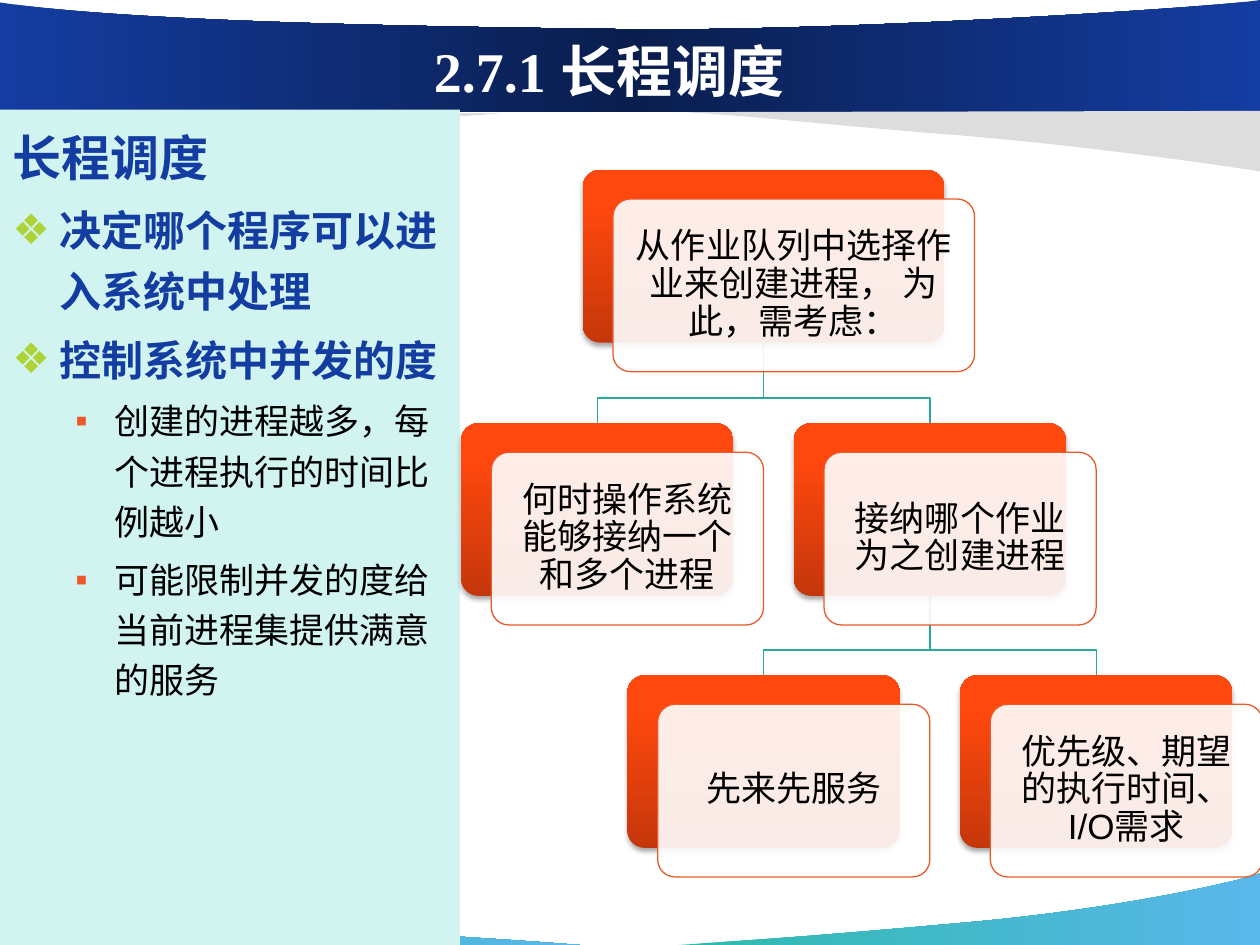
from pptx import Presentation
from pptx.dml.color import RGBColor
from pptx.enum.shapes import MSO_SHAPE as Shape
from pptx.enum.text import MSO_ANCHOR as Anchor, PP_ALIGN as Align
from pptx.oxml import parse_xml
from pptx.oxml.ns import nsdecls, qn
from pptx.util import Inches, Pt

WHITE = RGBColor(0xFF, 0xFF, 0xFF)
BLACK = RGBColor(0, 0, 0)
NAVY = RGBColor(0x14, 0x3D, 0xA2)
DEEP = RGBColor(0x0A, 0x1E, 0x4E)
TEAL = RGBColor(0x2E, 0xBA, 0xAD)
SKY = RGBColor(0x5A, 0xB7, 0xEA)
GRAY = RGBColor(0xDD, 0xDD, 0xDD)
MINT = RGBColor(0xD2, 0xF4, 0xF1)
LIME = RGBColor(0xAE, 0xD3, 0x37)
RUST = RGBColor(0xC5, 0x37, 0x0B)
FLAME = RGBColor(0xFF, 0x48, 0x0E)
GLOW = RGBColor(0xFF, 0x49, 0x10)
ORANGE = RGBColor(0xEB, 0x59, 0x2B)
GREEN = RGBColor(0x29, 0xA8, 0x9C)

prs = Presentation()
prs.slide_width, prs.slide_height = Inches(10), Inches(7.5)
slide = prs.slides.add_slide(prs.slide_layouts[6])
shapes = slide.shapes


def draw(start, steps, close):
    """Outline in inches; a step is a line (x, y) or a cubic curve of six values."""
    pen = shapes.build_freeform(Inches(start[0]), Inches(start[1]))
    pen.add_line_segments(
        [(Inches(s[-2]), Inches(s[-1])) for s in steps], close=close)
    form = pen.convert_to_shape()
    form.shadow.inherit = False
    lines = list(form._element.iter(qn("a:lnTo")))
    for line, step in zip(lines, steps):
        if len(step) == 6:
            spots = "".join(
                f'<a:pt x="{Inches(x) - form.left}" y="{Inches(y) - form.top}"/>'
                for x, y in zip(step[::2], step[1::2]))
            curve = parse_xml(
                f'<a:cubicBezTo {nsdecls("a")}>{spots}</a:cubicBezTo>')
            line.getparent().replace(line, curve)
    return form


def shade(shape, stops, angle):
    """Gradient fill from (percent, colour) stops."""
    shape.fill.gradient()
    shape.fill.gradient_angle = angle
    group = shape._element.spPr.find(qn("a:gradFill")).find(qn("a:gsLst"))
    for old in list(group):
        group.remove(old)
    for place, color in stops:
        group.append(parse_xml(
            f'<a:gs {nsdecls("a")} pos="{place * 1000}">'
            f'<a:srgbClr val="{color}"/></a:gs>'))


# Waves at the top and bottom edges
SEA = [(0, TEAL), (100, SKY)]
BAND = [(0, NAVY), (50, DEEP), (100, NAVY)]
waves = [
    ((4.6, 7.5), [(3.84, 7.44, 3.58, 7.44, 2.32, 7.33),
                  (1.06, 7.23, 0.01, 7.01, 0, 7.01), (0, 7.5)], SEA),
    ((5.39, 7.5), [(6.14, 7.45, 6.46, 7.43, 7.69, 7.32),
                   (8.92, 7.21, 9.9, 6.98, 10, 6.93), (10, 7.5)], SEA),
    ((3.98, 0.9), [(3.31, 0.95, 3.18, 0.94, 2.08, 1.05),
                   (0.97, 1.15, 0.09, 1.3, 0, 1.35), (0, 0.87)], GRAY),
    ((0, 0.89), [(10, 0.89), (10, 0), (9.64, 0.06, 6.53, 0.26, 4.87, 0.23),
                 (3.21, 0.21, 1.01, 0.17, 0, 0.02)], BAND),
    ((5.44, 0.89), [(6.2, 0.94, 6.42, 0.98, 7.68, 1.08),
                    (8.94, 1.19, 9.99, 1.36, 10, 1.36), (10, 0.88)], GRAY),
]
for start, steps, paint in waves:
    wave = draw(start, steps, True)
    wave.line.fill.background()
    if paint == GRAY:
        wave.fill.solid()
        wave.fill.fore_color.rgb = GRAY
    else:
        shade(wave, paint, 0)

# Title
title = shapes.add_textbox(Inches(0.92), Inches(0.25), Inches(7.83), Inches(0.62))
frame = title.text_frame
frame.word_wrap = True
frame.vertical_anchor = Anchor.MIDDLE
frame.text = "2.7.1 长程调度"
para = frame.paragraphs[0]
para.alignment = Align.CENTER
font = para.runs[0].font
font.name, font.size, font.bold = "Times New Roman", Pt(32), True
font.color.rgb = WHITE

# Side panel
panel = shapes.add_shape(Shape.RECTANGLE, 0, Inches(0.87), Inches(3.65), Inches(6.63))
panel.shadow.inherit = False
panel.fill.solid()
panel.fill.fore_color.rgb = MINT
panel.line.fill.background()
frame = panel.text_frame
frame.word_wrap = True
frame.vertical_anchor = Anchor.TOP
# Size, colour, bold, bullet, bullet colour, indent, hang
HEAD = (28, NAVY, True, None, None, 0, 0)
MAIN = (24, NAVY, True, "❖", LIME, 0.37, 0.37)
SUB = (20, BLACK, False, "▪", ORANGE, 0.81, 0.31)
items = [
    ("长程调度", HEAD),
    ("决定哪个程序可以进入系统中处理", MAIN),
    ("控制系统中并发的度", MAIN),
    ("创建的进程越多，每个进程执行的时间比例越小", SUB),
    ("可能限制并发的度给当前进程集提供满意的服务", SUB),
]
for i, (text, style) in enumerate(items):
    size, color, bold, mark, tint, left, hang = style
    para = frame.add_paragraph() if i else frame.paragraphs[0]
    para.text = text
    para.alignment = Align.LEFT
    if mark:
        props = para._p.get_or_add_pPr()
        props.set("marL", str(Inches(left)))
        props.set("indent", str(-Inches(hang)))
        for xml in (f'<a:buClr {nsdecls("a")}><a:srgbClr val="{tint}"/></a:buClr>',
                    f'<a:buFont {nsdecls("a")} typeface="Arial"/>',
                    f'<a:buChar {nsdecls("a")} char="{mark}"/>'):
            props.append(parse_xml(xml))
    if style == SUB:
        para.level = 1
    para.line_spacing = 1.2
    if i:
        para.space_before = Pt(size * 0.2)
    font = para.runs[0].font
    font.name, font.size, font.bold = "Arial", Pt(size), bold
    font.color.rgb = color

# Tree: columns count half steps from the root
MID, STEP, HIGH = 6.06, 1.32, 1.37
TOPS = [1.35, 3.36, 5.36]
links = [(1, 1, 2), (1, 1, 0), (0, 0, 1), (0, 0, -1)]
for col, row, child in links:
    x, end, low = MID + col * STEP, MID + child * STEP, TOPS[row + 1]
    link = draw((x, TOPS[row] + HIGH),
                [(x, low - 0.2), (end, low - 0.2), (end, low)], False)
    link.fill.background()
    link.line.color.rgb = GREEN
    link.line.width = Pt(0.75)

cards = [
    (0, 0, 2.87, "从作业队列中选择作业来创建进程， 为此，需考虑："),
    (-1, 1, 2.16, "何时操作系统能够接纳一个和多个进程"),
    (1, 1, 2.16, "接纳哪个作业为之创建进程"),
    (0, 2, 2.16, "先来先服务"),
    (2, 2, 2.16, "优先级、期望的执行时间、I/O需求"),
]
for col, row, wide, text in cards:
    left, top = MID + col * STEP - wide / 2, TOPS[row]
    back, front = [
        shapes.add_shape(Shape.ROUNDED_RECTANGLE, Inches(left + dx),
                         Inches(top + dy), Inches(wide), Inches(HIGH))
        for dx, dy in ((0, 0), (0.24, 0.23))]
    for card in (back, front):
        card.adjustments[0] = 0.1
        card.shadow.inherit = False

    shade(back, [(0, RUST), (80, FLAME), (100, GLOW)], 90)
    back.line.fill.background()
    back._element.spPr.find(qn("a:effectLst")).append(parse_xml(
        f'<a:outerShdw {nsdecls("a")} blurRad="{Pt(3.1)}" dist="{Pt(1.8)}" '
        'dir="5400000" rotWithShape="0"><a:srgbClr val="000000">'
        '<a:alpha val="35000"/></a:srgbClr></a:outerShdw>'))

    front.fill.solid()
    front.fill.fore_color.rgb = WHITE
    tone = front._element.spPr.find(qn("a:solidFill")).find(qn("a:srgbClr"))
    tone.append(parse_xml(f'<a:alpha {nsdecls("a")} val="90000"/>'))
    front.line.color.rgb = ORANGE
    front.line.width = Pt(0.75)
    frame = front.text_frame
    frame.word_wrap = True
    frame.vertical_anchor = Anchor.MIDDLE
    frame.margin_left = frame.margin_right = Inches(0.08)
    frame.margin_top = frame.margin_bottom = Inches(0.08)
    frame.text = text
    para = frame.paragraphs[0]
    para.alignment = Align.CENTER
    para.line_spacing = 0.9
    para._p.get_or_add_pPr().set("hangingPunct", "0")
    font = para.runs[0].font
    font.name, font.size = "Arial", Pt(20)
    font.color.rgb = BLACK

prs.save("out.pptx")
